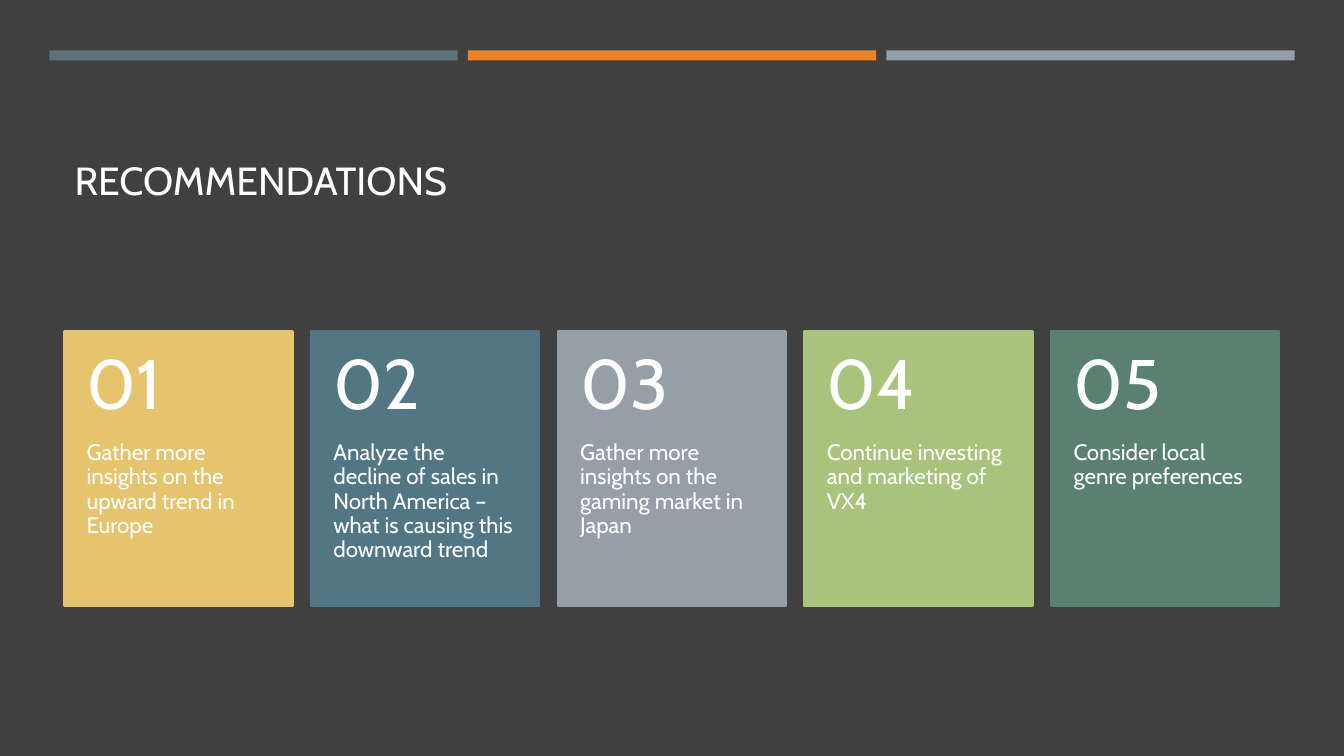
from pptx import Presentation
from pptx.dml.color import RGBColor
from pptx.enum import shapes, text
from pptx.util import Inches, Pt

CHARCOAL = RGBColor(0x40, 0x40, 0x40)
WHITE = RGBColor(0xFF, 0xFF, 0xFF)
SLATE = RGBColor(0x60, 0x72, 0x7A)
ORANGE = RGBColor(0xED, 0x84, 0x28)
GRAY = RGBColor(0x96, 0x9F, 0xA7)
YELLOW = RGBColor(0xE6, 0xC4, 0x6D)
BLUE = RGBColor(0x53, 0x76, 0x85)
LIME = RGBColor(0xA9, 0xC3, 0x7C)
GREEN = RGBColor(0x5A, 0x80, 0x71)


def write(holder, wording, size, anchor, margins=(0.1, 0.05, 0.1, 0.05), spacing=1.0):
    """Fill a shape with white left-aligned text; margins are left, top, right, bottom."""
    frame = holder.text_frame
    frame.word_wrap = True
    frame.auto_size = text.MSO_AUTO_SIZE.NONE
    frame.vertical_anchor = anchor
    (frame.margin_left, frame.margin_top,
     frame.margin_right, frame.margin_bottom) = map(Inches, margins)
    paragraph = frame.paragraphs[0]
    paragraph.alignment = text.PP_ALIGN.LEFT
    paragraph.line_spacing = spacing
    run = paragraph.add_run()
    run.text = wording
    run.font.name = "Cabin"
    run.font.size = Pt(size)
    run.font.color.rgb = WHITE


def add_block(left, top, width, height, color):
    block = slide.shapes.add_shape(
        shapes.MSO_SHAPE.RECTANGLE,
        Inches(left), Inches(top), Inches(width), Inches(height))
    block.shadow.inherit = False
    block.fill.solid()
    block.fill.fore_color.rgb = color
    block.line.fill.background()
    return block


prs = Presentation()
prs.slide_width, prs.slide_height = Inches(13.33), Inches(7.5)
slide = prs.slides.add_slide(prs.slide_layouts[5])
slide.background.fill.solid()
slide.background.fill.fore_color.rgb = CHARCOAL

title = slide.shapes.title
title.left, title.top = Inches(0.64), Inches(0.77)
title.width, title.height = Inches(12.06), Inches(1.3)
write(title, "RECOMMENDATIONS", 28, text.MSO_ANCHOR.BOTTOM)

for column, color in enumerate([SLATE, ORANGE, GRAY]):
    add_block(0.49 + 4.15 * column, 0.5, 4.05, 0.1, color)

recommendations = [
    (YELLOW, "Gather more insights on the upward trend in Europe"),
    (BLUE, "Analyze the decline of sales in North America – "
           "what is causing this downward trend"),
    (GRAY, "Gather more insights on the gaming market in Japan"),
    (LIME, "Continue investing and marketing of VX4"),
    (GREEN, "Consider local genre preferences"),
]
CARD_TOP, CARD_WIDTH, CARD_HEIGHT = 3.29, 2.26, 2.72
CARD_PITCH, NUMBER_HEIGHT = 2.447, 1.09

for index, (color, advice) in enumerate(recommendations):
    left = 0.64 + CARD_PITCH * index
    card = add_block(left, CARD_TOP, CARD_WIDTH, CARD_HEIGHT, color)
    card.line.color.rgb = color
    card.line.width = Pt(1.75)

    advice_box = slide.shapes.add_textbox(
        Inches(left), Inches(CARD_TOP + NUMBER_HEIGHT),
        Inches(CARD_WIDTH), Inches(CARD_HEIGHT - NUMBER_HEIGHT))
    write(advice_box, advice, 16, text.MSO_ANCHOR.TOP, (0.22, 0, 0.22, 0.36), 0.9)

    number_box = slide.shapes.add_textbox(
        Inches(left), Inches(CARD_TOP), Inches(CARD_WIDTH), Inches(NUMBER_HEIGHT))
    write(number_box, f"{index + 1:02}", 50, text.MSO_ANCHOR.MIDDLE,
          (0.22, 0.18, 0.22, 0.18), 0.9)

prs.save("out.pptx")
